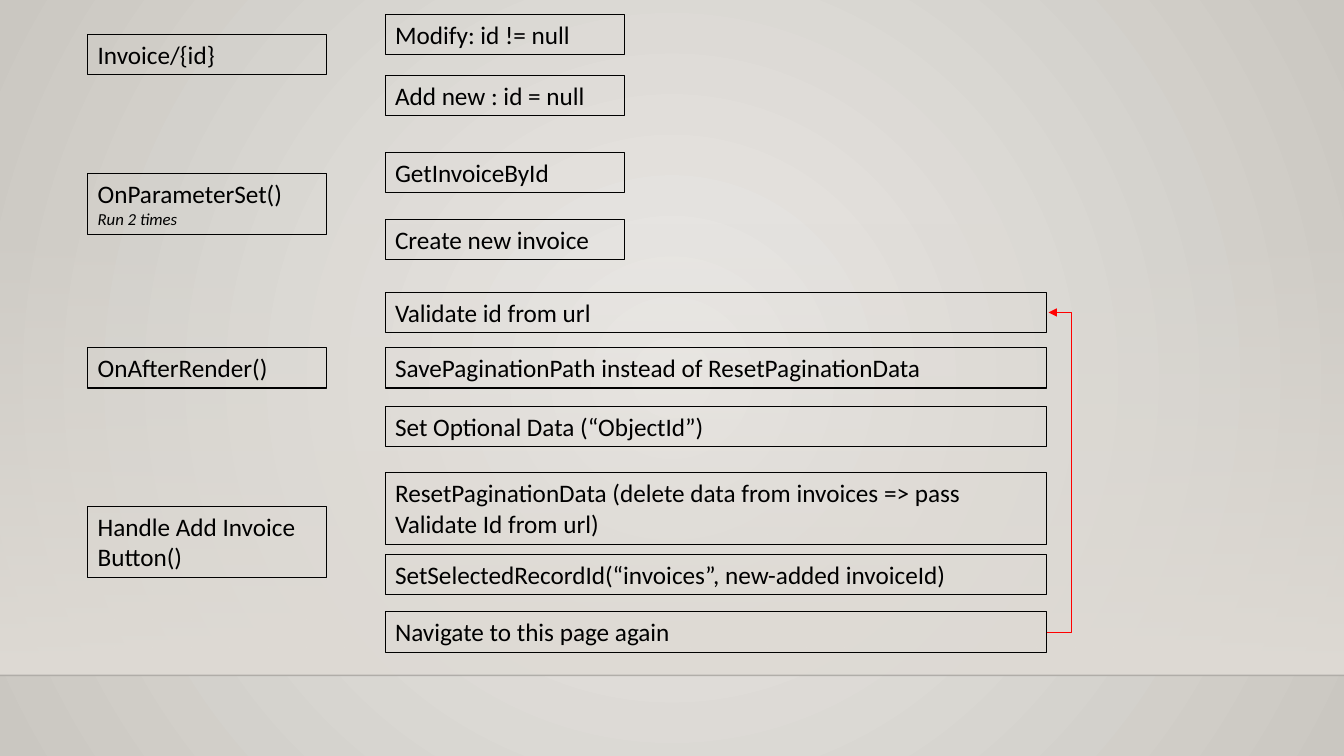
from lxml import etree
from pptx import Presentation
from pptx.dml.color import RGBColor
from pptx.enum.shapes import MSO_CONNECTOR, MSO_SHAPE
from pptx.enum.text import MSO_ANCHOR, MSO_AUTO_SIZE, PP_ALIGN
from pptx.oxml.ns import qn
from pptx.util import Inches, Pt

RECTANGLE = MSO_SHAPE.RECTANGLE
STRAIGHT, ELBOW = MSO_CONNECTOR.STRAIGHT, MSO_CONNECTOR.ELBOW
TOP, LEFT = MSO_ANCHOR.TOP, PP_ALIGN.LEFT
GROW = MSO_AUTO_SIZE.SHAPE_TO_FIT_TEXT

BLACK = RGBColor(0, 0, 0)
RED = RGBColor(255, 0, 0)
CENTER_GREY = RGBColor(0xEC, 0xEA, 0xE7)
EDGE_GREY = RGBColor(0xCA, 0xC7, 0xC1)
WALL_GREY = RGBColor(0xDF, 0xDB, 0xD5)
FONT = "Calibri"

SLIDE_WIDTH, SLIDE_HEIGHT = 13.33, 7.5
WALL_TOP, FLOOR = 2.21, 6.7
ONE_LINE, TWO_LINES, WITH_NOTE = 0.4, 0.71, 0.61
NARROW, WIDE = 2.37, 6.56
EVENT_LEFT, STEP_LEFT = 0.87, 3.82

EVENTS = [
    (0.34, ONE_LINE, "Invoice/{id}", None),
    (1.72, WITH_NOTE, "OnParameterSet()", "Run 2 times"),
    (3.45, ONE_LINE, "OnAfterRender()", None),
    (5.02, TWO_LINES, "Handle Add Invoice Button()", None),
]
CASES = [
    (0.14, ONE_LINE, "Modify: id != null", None),
    (0.75, ONE_LINE, "Add new : id = null", None),
    (1.51, ONE_LINE, "GetInvoiceById", None),
    (2.18, ONE_LINE, "Create new invoice", None),
]
STEPS = [
    (2.9, ONE_LINE, "Validate id from url", None),
    (3.45, ONE_LINE, "SavePaginationPath instead of ResetPaginationData", None),
    (4.03, ONE_LINE, "Set Optional Data (“ObjectId”)", None),
    (4.69, TWO_LINES, "ResetPaginationData (delete data from invoices => pass Validate Id from url)", None),
    (5.5, ONE_LINE, "SetSelectedRecordId(“invoices”, new-added invoiceId)", None),
    (6.07, ONE_LINE, "Navigate to this page again", None),
]
COLUMNS = [(EVENT_LEFT, NARROW, EVENTS), (STEP_LEFT, NARROW, CASES), (STEP_LEFT, WIDE, STEPS)]
LOOP_START, LOOP_END = (10.38, 6.28), (10.4, 3.1)
LOOP_REACH = 0.25


def set_gradient(fill, first, last):
    fill.gradient()
    for stop, color in zip(fill.gradient_stops, (first, last)):
        stop.color.rgb = color


def set_alpha(element, percent):
    color = element.find(".//" + qn("a:srgbClr"))
    etree.SubElement(color, qn("a:alpha"), val=str(percent * 1000))


def add_background(slide):
    set_gradient(slide.background.fill, CENTER_GREY, EDGE_GREY)
    gradient = slide.element.find(".//" + qn("a:gradFill"))
    gradient.remove(gradient.find(qn("a:lin")))
    circle = etree.SubElement(gradient, qn("a:path"))
    circle.set("path", "circle")
    sides = {side: "50000" for side in "ltrb"}
    etree.SubElement(circle, qn("a:fillToRect"), sides)


def add_wall(slide):
    wall = slide.shapes.add_shape(
        RECTANGLE, 0, Inches(WALL_TOP), Inches(SLIDE_WIDTH), Inches(FLOOR - WALL_TOP))
    wall.shadow.inherit = False
    set_gradient(wall.fill, WALL_GREY, WALL_GREY)
    wall.fill.gradient_angle = 270
    set_alpha(wall.element.spPr, 0)
    wall.line.fill.background()


def add_line(slide, kind, start, end, color, width):
    line = slide.shapes.add_connector(kind, *map(Inches, start + end))
    line.line.color.rgb = color
    line.line.width = Pt(width)
    etree.SubElement(line.element.spPr, qn("a:effectLst"))
    return line


def add_text(paragraph, text, size, italic):
    paragraph.alignment = LEFT
    run = paragraph.add_run()
    run.text = text
    run.font.name = FONT
    run.font.size = Pt(size)
    run.font.italic = italic
    run.font.color.rgb = BLACK


def add_box(slide, left, width, top, height, text, note):
    box = slide.shapes.add_shape(RECTANGLE, *map(Inches, (left, top, width, height)))
    box.shadow.inherit = False
    box.fill.background()
    box.line.color.rgb = BLACK
    box.line.width = Pt(0.75)
    frame = box.text_frame
    frame.word_wrap = True
    frame.vertical_anchor = TOP
    frame.auto_size = GROW
    add_text(frame.paragraphs[0], text, 18, False)
    if note:
        add_text(frame.add_paragraph(), note, 12, True)


def add_loop(slide):
    loop = add_line(slide, ELBOW, LOOP_START, LOOP_END, RED, 0.75)
    bend = round(LOOP_REACH / (LOOP_END[0] - LOOP_START[0]) * 100000)
    geometry = loop.element.spPr.find(qn("a:prstGeom"))
    adjustments = geometry.find(qn("a:avLst"))
    etree.SubElement(adjustments, qn("a:gd"), name="adj1", fmla=f"val {bend}")
    outline = loop.element.spPr.find(qn("a:ln"))
    etree.SubElement(outline, qn("a:tailEnd"), type="triangle")


def main():
    presentation = Presentation()
    presentation.slide_width = Inches(SLIDE_WIDTH)
    presentation.slide_height = Inches(SLIDE_HEIGHT)
    slide = presentation.slides.add_slide(presentation.slide_layouts[6])
    add_background(slide)
    add_wall(slide)
    floor_line = add_line(slide, STRAIGHT, (0, FLOOR), (SLIDE_WIDTH, FLOOR), BLACK, 1)
    set_alpha(floor_line.element.spPr, 20)
    for left, width, boxes in COLUMNS:
        for box in boxes:
            add_box(slide, left, width, *box)
    add_loop(slide)
    presentation.save("out.pptx")


if __name__ == "__main__":
    main()
